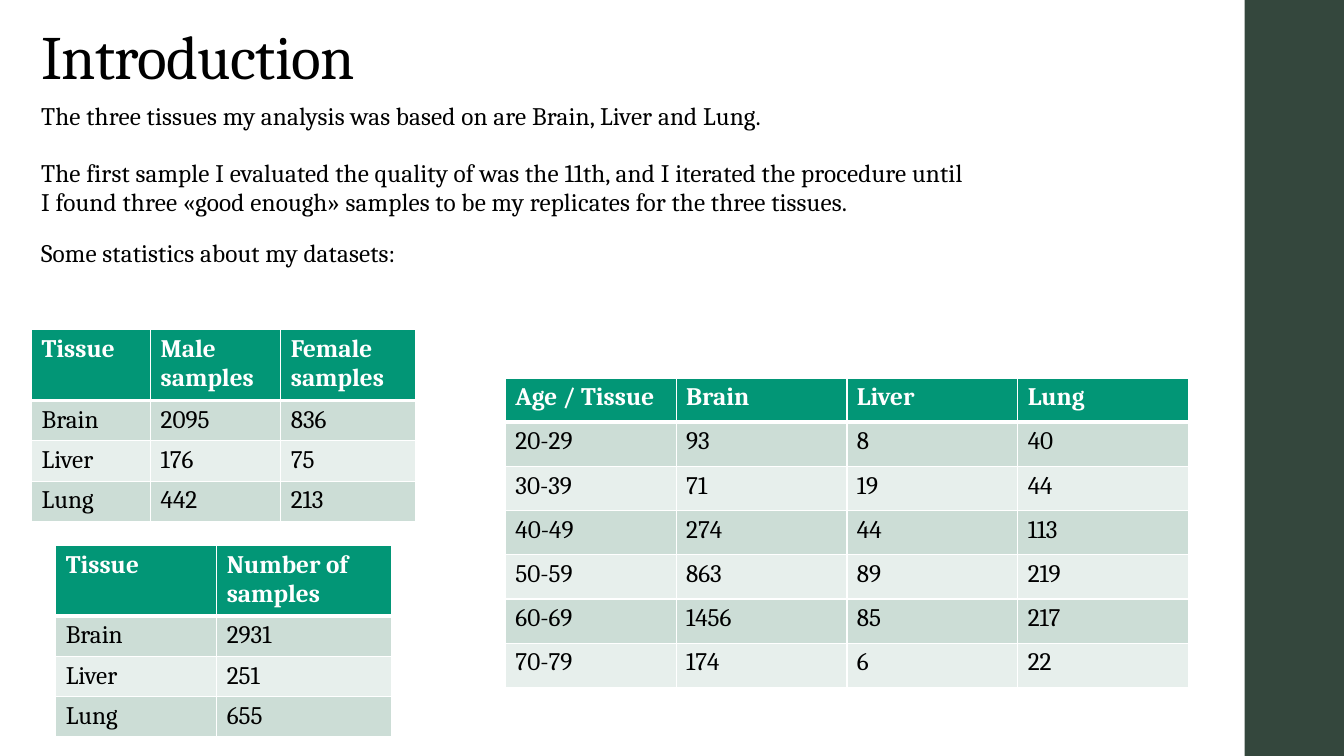
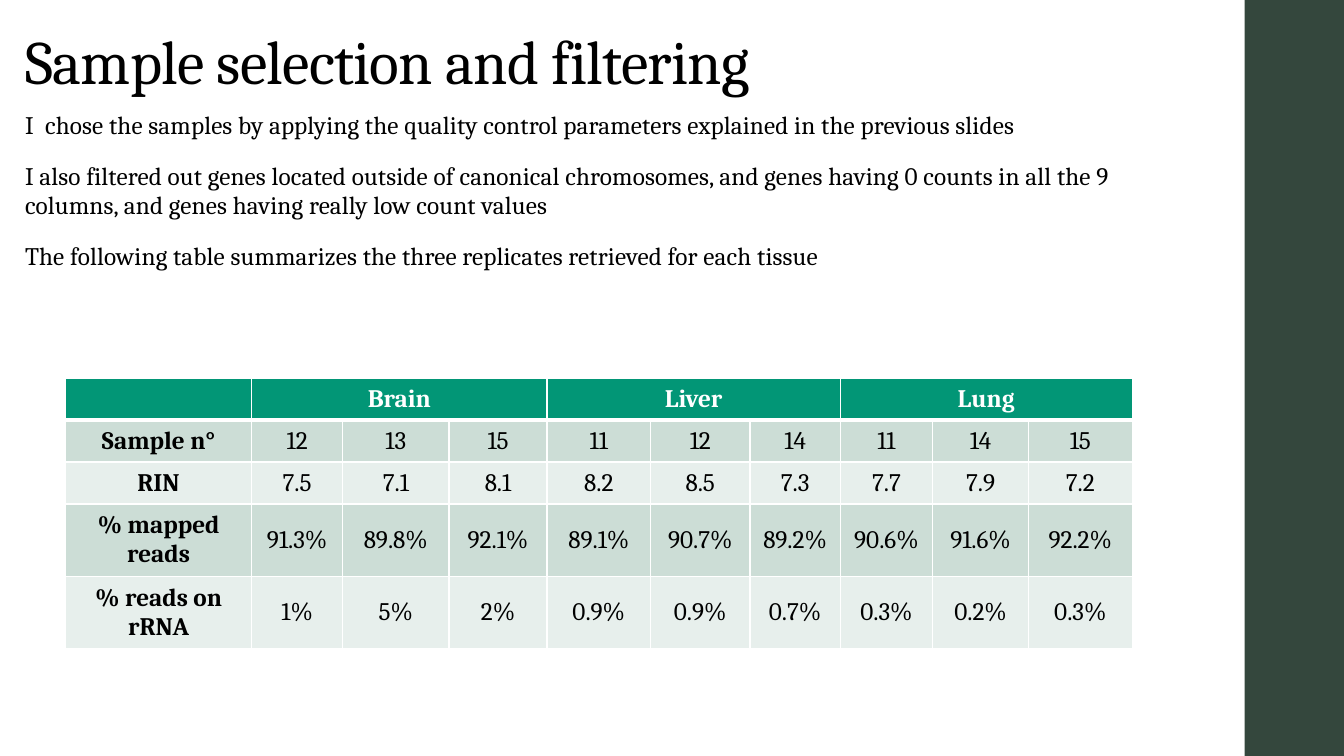
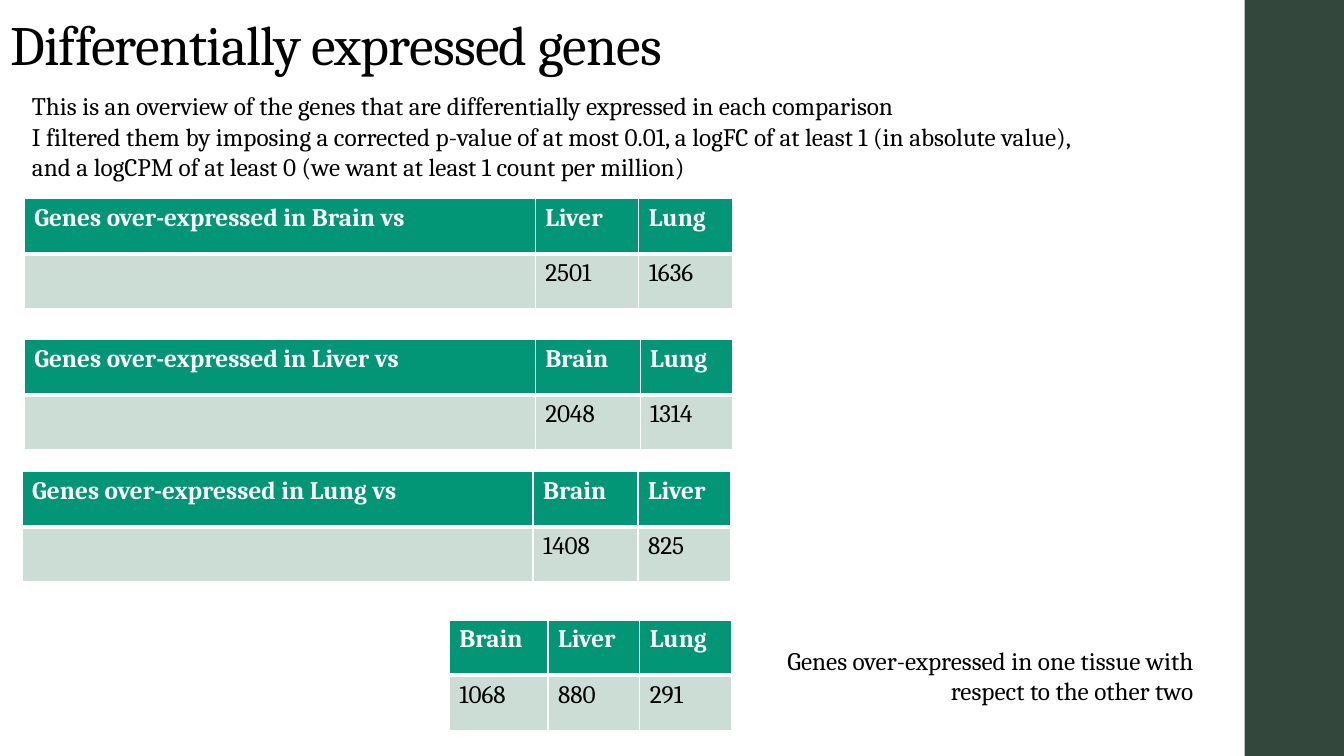
from dataclasses import dataclass

from lxml import etree
from pptx import Presentation
from pptx.dml.color import RGBColor
from pptx.enum.shapes import MSO_SHAPE
from pptx.enum.text import MSO_ANCHOR, MSO_AUTO_SIZE, PP_ALIGN
from pptx.oxml.ns import qn
from pptx.util import Pt

RECTANGLE = MSO_SHAPE.RECTANGLE
TOP, MIDDLE, BOTTOM = MSO_ANCHOR.TOP, MSO_ANCHOR.MIDDLE, MSO_ANCHOR.BOTTOM
LEFT, CENTER, RIGHT = PP_ALIGN.LEFT, PP_ALIGN.CENTER, PP_ALIGN.RIGHT
NO_AUTOFIT = MSO_AUTO_SIZE.NONE

BLACK = RGBColor(0x00, 0x00, 0x00)
WHITE = RGBColor(0xFF, 0xFF, 0xFF)
BAND_GREEN = RGBColor(0x34, 0x47, 0x3D)
HEADER_GREEN = RGBColor(0x02, 0x96, 0x76)
ROW_COLOURS = (RGBColor(0xCC, 0xDD, 0xD6), RGBColor(0xE7, 0xEF, 0xEC))

FONT = "Cambria"
TEXT_SIZE = 18
THIN, THICK = 1, 3
TITLE_ONLY = 5
SLIDE_WIDTH, SLIDE_HEIGHT = 960, 540
BAND_LEFT = 889

BODY_SPACING = {"line_spacing": 0.95, "space_before": Pt(14), "space_after": Pt(2)}
PLAIN_SPACING = {"line_spacing": 1.0}


@dataclass(frozen=True)
class Box:
    left: float
    top: float
    width: float
    height: float

    def lengths(self) -> tuple:
        return Pt(self.left), Pt(self.top), Pt(self.width), Pt(self.height)


@dataclass(frozen=True)
class Title:
    text: str
    box: Box
    size: float = 44


@dataclass(frozen=True)
class TextBlock:
    paragraphs: tuple
    box: Box
    spacing: dict
    alignment: PP_ALIGN = LEFT
    tracking: int = 0


@dataclass(frozen=True)
class Grid:
    left: float
    top: float
    widths: tuple
    heights: tuple
    rows: tuple
    centred: bool = False
    header_span: int = 1


@dataclass(frozen=True)
class Page:
    title: Title
    texts: tuple
    grids: tuple


def apply(target, values: dict) -> None:
    for name, value in values.items():
        setattr(target, name, value)


def style_paragraph(paragraph, size=TEXT_SIZE, colour=BLACK, bold=False, tracking=0, **values) -> None:
    apply(paragraph, values)
    for run in paragraph.runs:
        apply(run.font, {"name": FONT, "size": Pt(size), "bold": bold})
        run.font.color.rgb = colour
        if tracking:
            run._r.get_or_add_rPr().set("spc", str(tracking))


def add_band(slide) -> None:
    band = slide.shapes.add_shape(
        RECTANGLE, Pt(BAND_LEFT), Pt(0), Pt(SLIDE_WIDTH - BAND_LEFT), Pt(SLIDE_HEIGHT)
    )
    band.shadow.inherit = False
    band.fill.solid()
    band.fill.fore_color.rgb = BAND_GREEN
    band.line.fill.background()


def set_title(slide, title: Title) -> None:
    placeholder = slide.shapes.title
    apply(placeholder, dict(zip(("left", "top", "width", "height"), title.box.lengths())))
    frame = placeholder.text_frame
    frame.text = title.text
    apply(frame, {"word_wrap": True, "auto_size": NO_AUTOFIT, "vertical_anchor": BOTTOM})
    style_paragraph(
        frame.paragraphs[0], title.size, tracking=-50, alignment=LEFT, line_spacing=0.9
    )


def add_text(slide, block: TextBlock) -> None:
    frame = slide.shapes.add_textbox(*block.box.lengths()).text_frame
    frame.word_wrap = True
    frame.text = "\n".join(block.paragraphs)
    for paragraph in frame.paragraphs:
        style_paragraph(
            paragraph, tracking=block.tracking, alignment=block.alignment, **block.spacing
        )


def set_borders(cell, top: float, bottom: float) -> None:
    properties = cell._tc.get_or_add_tcPr()
    for side, width in {"L": THIN, "R": THIN, "T": top, "B": bottom}.items():
        line = etree.SubElement(properties, qn(f"a:ln{side}"), w=str(Pt(width)))
        fill = etree.SubElement(line, qn("a:solidFill"))
        etree.SubElement(fill, qn("a:srgbClr"), val=str(WHITE))


def fill_cell(cell, text: str, row: int, column: int, centred: bool) -> None:
    header = row == 0
    set_borders(cell, THICK if row == 1 else THIN, THICK if header else THIN)
    cell.fill.solid()
    cell.fill.fore_color.rgb = HEADER_GREEN if header else ROW_COLOURS[(row - 1) % 2]
    cell.vertical_anchor = MIDDLE if centred else TOP
    cell.text_frame.text = text
    for paragraph in cell.text_frame.paragraphs:
        style_paragraph(
            paragraph,
            colour=WHITE if header else BLACK,
            bold=header or (centred and column == 0),
            alignment=CENTER if centred else LEFT,
        )


def add_grid(slide, grid: Grid) -> None:
    table = slide.shapes.add_table(
        len(grid.heights), len(grid.widths), Pt(grid.left), Pt(grid.top),
        Pt(sum(grid.widths)), Pt(sum(grid.heights)),
    ).table
    apply(table, {"first_row": False, "horz_banding": False})
    for column, width in zip(table.columns, grid.widths):
        column.width = Pt(width)
    for row, height in zip(table.rows, grid.heights):
        row.height = Pt(height)
    for row, texts in enumerate(grid.rows):
        for column, text in enumerate(texts):
            fill_cell(table.cell(row, column), text, row, column, grid.centred)
    if grid.header_span > 1:
        for first in range(1, len(grid.widths), grid.header_span):
            table.cell(0, first).merge(table.cell(0, first + grid.header_span - 1))


def comparison(left: float, top: float, widths: tuple, tissue: str, counts: dict) -> Grid:
    rows = ((f"Genes over-expressed in {tissue} vs", *counts), ("", *counts.values()))
    return Grid(left, top, widths, (39.4,) * 2, rows)


INTRODUCTION = Page(
    Title("Introduction", Box(22.3, 6.5, 316, 63.4)),
    (
        TextBlock(
            ("The three tissues my analysis was based on are Brain, Liver and Lung.",),
            Box(22.3, 69.8, 677, 30), BODY_SPACING, tracking=10,
        ),
        TextBlock(
            (
                "The first sample I evaluated the quality of was the 11th, and I iterated the "
                "procedure until I found three «good enough» samples to be my replicates for "
                "the three tissues.",
                "Some statistics about my datasets:",
            ),
            Box(22.3, 110.6, 677, 113), BODY_SPACING, tracking=10,
        ),
    ),
    (
        Grid(
            22.6, 235.6, (85, 93, 96.5), (48, 28, 28, 28),
            (
                ("Tissue", "Male\nsamples", "Female\nsamples"),
                ("Brain", "2095", "836"),
                ("Liver", "176", "75"),
                ("Lung", "442", "213"),
            ),
        ),
        Grid(
            361, 270, (122,) * 4, (31.6,) * 7,
            (
                ("Age / Tissue", "Brain", "Liver", "Lung"),
                ("20-29", "93", "8", "40"),
                ("30-39", "71", "19", "44"),
                ("40-49", "274", "44", "113"),
                ("50-59", "863", "89", "219"),
                ("60-69", "1456", "85", "217"),
                ("70-79", "174", "6", "22"),
            ),
        ),
        Grid(
            39.8, 389.5, (115, 125), (48, 28, 28, 28),
            (
                ("Tissue", "Number of samples"),
                ("Brain", "2931"),
                ("Liver", "251"),
                ("Lung", "655"),
            ),
        ),
    ),
)

SELECTION = Page(
    Title("Sample selection and filtering", Box(10.8, 10.8, 828, 62.6)),
    (
        TextBlock(
            (
                "I  chose the samples by applying the quality control parameters explained in "
                "the previous slides",
                "I also filtered out genes located outside of canonical chromosomes, and genes "
                "having 0 counts in all the 9 columns, and genes having really low count values",
                "The following table summarizes the three replicates retrieved for each tissue",
            ),
            Box(10.8, 76.3, 828, 127.4), BODY_SPACING, tracking=10,
        ),
    ),
    (
        Grid(
            46.8, 270, (133, 65, 76, 70, 74, 71, 64.5, 66, 68.5, 74), (30, 30, 30, 51.8, 51.8),
            (
                ("", "Brain", "", "", "Liver", "", "", "Lung", "", ""),
                ("Sample n°", "12", "13", "15", "11", "12", "14", "11", "14", "15"),
                ("RIN", "7.5", "7.1", "8.1", "8.2", "8.5", "7.3", "7.7", "7.9", "7.2"),
                ("% mapped reads", "91.3%", "89.8%", "92.1%", "89.1%", "90.7%", "89.2%",
                 "90.6%", "91.6%", "92.2%"),
                ("% reads on rRNA", "1%", "5%", "2%", "0.9%", "0.9%", "0.7%",
                 "0.3%", "0.2%", "0.3%"),
            ),
            centred=True, header_span=3,
        ),
    ),
)

EXPRESSION = Page(
    Title("Differentially expressed genes", Box(0, 2.2, 571.7, 56.9), 39.6),
    (
        TextBlock(
            ("Genes over-expressed in one tissue with respect to the other two",),
            Box(552.2, 457.2, 307.4, 51), PLAIN_SPACING, RIGHT,
        ),
        TextBlock(
            (
                "This is an overview of the genes that are differentially expressed in each "
                "comparison",
                "I filtered them by imposing a corrected p-value of at most 0.01, a logFC of at "
                "least 1 (in absolute value), and a logCPM of at least 0 (we want at least 1 "
                "count per million)",
            ),
            Box(15.8, 61.2, 787, 72.7), PLAIN_SPACING,
        ),
    ),
    (
        comparison(17.3, 142, (365, 74, 67), "Brain", {"Liver": "2501", "Lung": "1636"}),
        comparison(17.3, 242.6, (365, 75, 66), "Liver", {"Brain": "2048", "Lung": "1314"}),
        comparison(15.8, 337, (365, 75, 66), "Lung", {"Brain": "1408", "Liver": "825"}),
        Grid(
            321, 443, (70.5, 65.5, 65.5), (39.4,) * 2,
            (("Brain", "Liver", "Lung"), ("1068", "880", "291")),
        ),
    ),
)


def main() -> None:
    presentation = Presentation()
    apply(presentation, {"slide_width": Pt(SLIDE_WIDTH), "slide_height": Pt(SLIDE_HEIGHT)})
    for page in (INTRODUCTION, SELECTION, EXPRESSION):
        slide = presentation.slides.add_slide(presentation.slide_layouts[TITLE_ONLY])
        add_band(slide)
        set_title(slide, page.title)
        for block in page.texts:
            add_text(slide, block)
        for grid in page.grids:
            add_grid(slide, grid)
    presentation.save("out.pptx")


if __name__ == "__main__":
    main()
